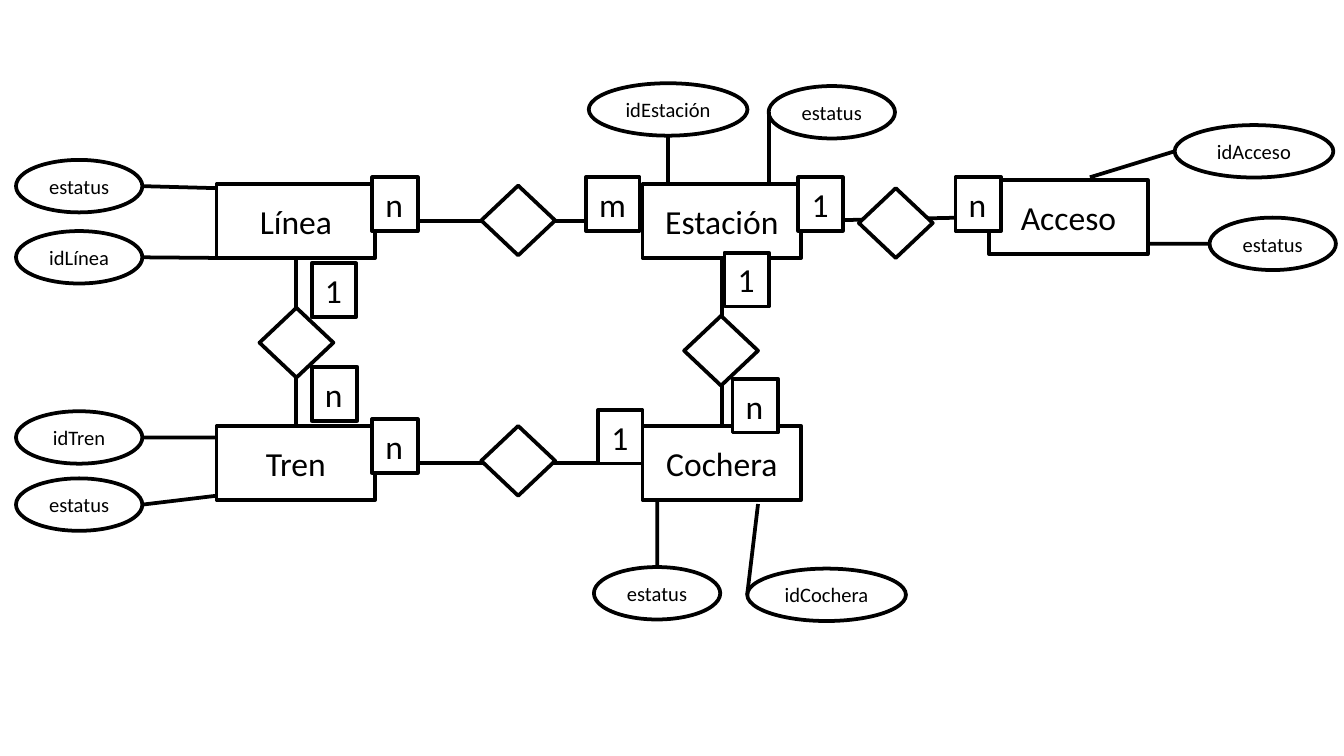
import pptx
import pptx.dml.color
import pptx.enum.shapes
import pptx.enum.text
import pptx.oxml.ns
import pptx.util

Pt = pptx.util.Pt
SHAPE = pptx.enum.shapes.MSO_SHAPE
ALIGN = pptx.enum.text.PP_ALIGN
ANCHOR = pptx.enum.text.MSO_ANCHOR
FIT = pptx.enum.text.MSO_AUTO_SIZE

BLACK, WHITE = "000000", "FFFFFF"
TOP, LEFT, BOTTOM, RIGHT = range(4)
SIDES = {TOP: (0.5, 0), LEFT: (0, 0.5), BOTTOM: (0.5, 1), RIGHT: (1, 0.5)}

ENTITY_W, ENTITY_H = 85, 39.6
DIAMOND_W, DIAMOND_H = 39.6, 37.4
OVAL_H, NARROW, WIDE = 28.1, 67.7, 85
CARD_H = 28.8
CARD_W = {"1": 23.8, "n": 24.5, "m": 28.8}

# Name: position, then attributes as (text, offset, width, side, line end on entity)
ENTITIES = {
    "Línea": ((116, 98.6), [
        ("estatus", (-107.4, -12.9), NARROW, RIGHT, (0, 2.2)),
        ("idLínea", (-107.4, 25.2), NARROW, RIGHT, (0, 39.6))]),
    "Tren": ((116, 228.2), [
        ("idTren", (-107.4, -7.9), NARROW, RIGHT, (0, 6.2)),
        ("estatus", (-107.4, 28.1), NARROW, RIGHT, (0, 37.4))]),
    "Cochera": ((344.2, 228.2), [
        ("idCochera", (56.1, 76.4), WIDE, LEFT, (61.9, 41.8)),
        ("estatus", (-26, 75.6), NARROW, TOP, (7.9, 40.3))]),
    "Estación": ((344.2, 98.6), [
        ("idEstación", (-28.8, -54), WIDE, BOTTOM, (13.7, 0)),
        ("estatus", (67.6, -52.5), NARROW, LEFT, (67.6, 0))]),
    "Acceso": ((529.9, 96.5), [
        ("idAcceso", (99.4, -29.5), WIDE, LEFT, (54, -1.5)),
        ("estatus", (118.1, 20.1), NARROW, LEFT, (85, 34.1))]),
}

# Entity and side at each end, diamond position, cardinalities as (text, offset)
RELATIONS = [
    (("Tren", TOP), ("Línea", BOTTOM), (139, 164.9),
     [("1", (28, -23.8)), ("n", (28, 31.7))]),
    (("Línea", RIGHT), ("Estación", LEFT), (257.8, 99.4),
     [("n", (-58.4, -4.4)), ("m", (56.1, -4.4))]),
    (("Tren", RIGHT), ("Cochera", LEFT), (257.8, 228.2),
     [("n", (-58.4, -3.6)), ("1", (62.6, -8.6))]),
    (("Cochera", TOP), ("Estación", BOTTOM), (366.5, 169.2),
     [("1", (21.6, -33.8)), ("n", (25.9, 33.8))]),
    (("Estación", RIGHT), ("Acceso", LEFT), (460.1, 100.8),
     [("1", (-32.4, -5.8)), ("n", (51.8, -5.8))]),
]


def rgb(value):
    return pptx.dml.color.RGBColor.from_string(value)


def shift(point, offset):
    return point[0] + offset[0], point[1] + offset[1]


def add_box(s, kind, pos, size, text="", pt=18, align=ALIGN.CENTER, **frame):
    """Outlined shape; frame holds text frame attributes."""
    sp = s.shapes.add_shape(kind, *(Pt(v) for v in (*pos, *size)))
    sp.shadow.inherit = False
    sp.fill.solid()
    sp.fill.fore_color.rgb = rgb(WHITE)
    sp.line.color.rgb = rgb(BLACK)
    sp.line.width = Pt(2)
    if text:
        tf = sp.text_frame
        for name, value in frame.items():
            setattr(tf, name, value)
        p = tf.paragraphs[0]
        p.alignment = align
        r = p.add_run()
        r.text = text
        for name, value in {"name": "Calibri", "size": Pt(pt)}.items():
            setattr(r.font, name, value)
        r.font.color.rgb = rgb(BLACK)
    return sp


def add_line(s, start=(0, 0), end=(0, 0)):
    line = s.shapes.add_connector(
        pptx.enum.shapes.MSO_CONNECTOR.STRAIGHT, *(Pt(v) for v in (*start, *end)))
    line.line.color.rgb = rgb(BLACK)
    line.line.width = Pt(2)
    props = line._element.spPr
    props.append(props.makeelement(pptx.oxml.ns.qn("a:effectLst"), {}))
    return line


def add_entity(s, name, pos, attributes):
    sp = add_box(s, SHAPE.RECTANGLE, pos, (ENTITY_W, ENTITY_H), name)
    for text, offset, width, side, end in attributes:
        oval = shift(pos, offset)
        add_box(s, SHAPE.OVAL, oval, (width, OVAL_H), text, 11, word_wrap=False)
        fx, fy = SIDES[side]
        add_line(s, shift(oval, (fx * width, fy * OVAL_H)), shift(pos, end))
    return sp


def add_relation(s, entities, begin, end, pos, cardinalities):
    line = add_line(s)
    line.begin_connect(entities[begin[0]], begin[1])
    line.end_connect(entities[end[0]], end[1])
    add_box(s, SHAPE.DIAMOND, pos, (DIAMOND_W, DIAMOND_H))
    for text, offset in cardinalities:
        add_box(s, SHAPE.RECTANGLE, shift(pos, offset), (CARD_W[text], CARD_H),
                text, align=ALIGN.LEFT, word_wrap=False,
                vertical_anchor=ANCHOR.TOP, auto_size=FIT.SHAPE_TO_FIT_TEXT)


def main():
    prs = pptx.Presentation()
    prs.slide_width, prs.slide_height = Pt(720), Pt(405)
    s = prs.slides.add_slide(prs.slide_layouts[6])
    entities = {name: add_entity(s, name, *parts)
                for name, parts in ENTITIES.items()}
    for relation in RELATIONS:
        add_relation(s, entities, *relation)
    prs.save("out.pptx")


if __name__ == "__main__":
    main()
